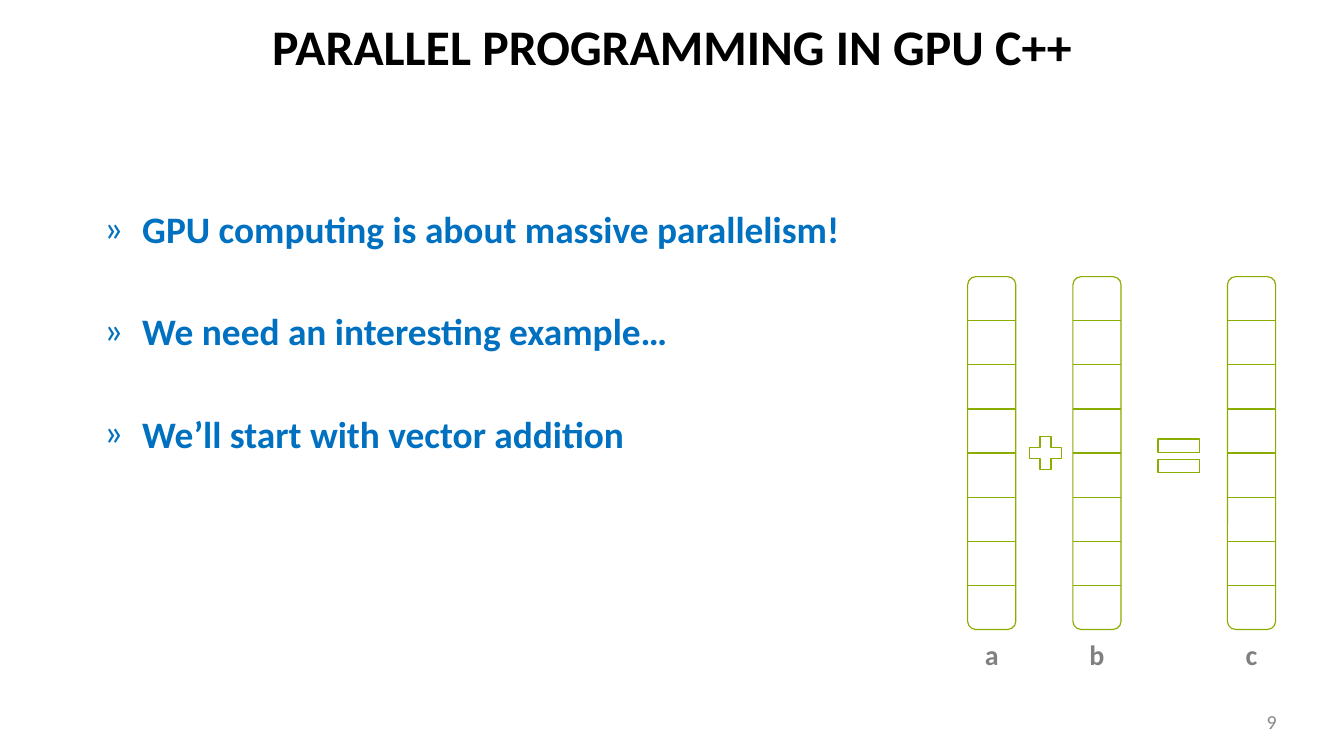
from dataclasses import dataclass

from lxml.etree import SubElement
from pptx import Presentation
from pptx.dml.color import RGBColor
from pptx.enum.shapes import MSO_CONNECTOR as Connector, MSO_SHAPE as Preset
from pptx.enum.text import MSO_ANCHOR as Anchor, PP_ALIGN as Align
from pptx.oxml.ns import qn
from pptx.shapes.autoshape import Shape
from pptx.slide import Slide
from pptx.util import Inches, Length, Pt


@dataclass(frozen=True)
class Theme:
    font: str = "Calibri"
    title_color: str = "000000"
    body_color: str = "0070C0"
    label_color: str = "808080"
    number_color: str = "898989"
    line_color: str = "89AD00"
    title_size: float = 32
    body_size: float = 24
    label_size: float = 18
    number_size: float = 12.8
    line_width: float = 0.75


@dataclass(frozen=True)
class Box:
    """Place and size in grid columns and rows."""
    column: float
    row: float
    columns: float
    rows: float

    def lengths(self) -> list[Length]:
        return [grid(value) for value in (self.column, self.row, self.columns, self.rows)]


@dataclass(frozen=True)
class Vector:
    name: str
    column: float


THEME = Theme()
COLUMNS, ROWS = 12, 6.75
CELL = Inches(1)

VECTORS = [Vector("a", 8.64), Vector("b", 9.58), Vector("c", 10.96)]
VECTOR_TOP, VECTOR_WIDTH, VECTOR_HEIGHT = 2.47, 0.43, 3.15
ELEMENTS = 8
LABEL_TOP, LABEL_HEIGHT = 5.68, 0.33

BULLETS = [
    "GPU computing is about massive parallelism!",
    "We need an interesting example…",
    "We’ll start with vector addition",
]


def grid(cells: float) -> Length:
    return Length(round(cells * CELL))


def add_bullet(paragraph, character: str, indent: float) -> None:
    properties = paragraph._p.get_or_add_pPr()
    properties.set("marL", str(grid(indent)))
    properties.set("indent", str(-grid(indent)))
    SubElement(properties, qn("a:buFont"), typeface=THEME.font)
    SubElement(properties, qn("a:buChar"), char=character)


def add_text(slide: Slide, box: Box, *lines: str, size: float, color: str,
             bold: bool = True, align: Align = Align.LEFT, anchor: Anchor = Anchor.TOP,
             inset: tuple[float, float] = (0, 0.01), gap: float = 0,
             bullet: str = "") -> None:
    frame = slide.shapes.add_textbox(*box.lengths()).text_frame
    frame.word_wrap = True
    frame.vertical_anchor = anchor
    frame.margin_left = frame.margin_right = grid(inset[0])
    frame.margin_top = frame.margin_bottom = grid(inset[1])
    for index, line in enumerate(lines):
        paragraph = frame.add_paragraph() if index else frame.paragraphs[0]
        paragraph.alignment = align
        if index:
            paragraph.space_before = Pt(gap)
        if bullet:
            add_bullet(paragraph, bullet, 0.34)
        run = paragraph.add_run()
        run.text = line
        run.font.name, run.font.size, run.font.bold = THEME.font, Pt(size), bold
        run.font.color.rgb = RGBColor.from_string(color)


def style_line(line) -> None:
    line.color.rgb = RGBColor.from_string(THEME.line_color)
    line.width = Pt(THEME.line_width)


def add_outline(slide: Slide, preset: Preset, box: Box) -> Shape:
    shape = slide.shapes.add_shape(preset, *box.lengths())
    shape.shadow.inherit = False
    shape.fill.background()
    style_line(shape.line)
    return shape


def add_divider(slide: Slide, column: float, row: float, columns: float) -> None:
    divider = slide.shapes.add_connector(
        Connector.STRAIGHT, grid(column), grid(row), grid(column + columns), grid(row))
    SubElement(divider._element.spPr, qn("a:effectLst"))
    style_line(divider.line)


def add_vector(slide: Slide, vector: Vector) -> None:
    frame = add_outline(slide, Preset.ROUNDED_RECTANGLE,
                        Box(vector.column, VECTOR_TOP, VECTOR_WIDTH, VECTOR_HEIGHT))
    frame.adjustments[0] = 0.17
    for element in range(1, ELEMENTS):
        row = VECTOR_TOP + VECTOR_HEIGHT * element / ELEMENTS
        add_divider(slide, vector.column, row, VECTOR_WIDTH)
    add_text(slide, Box(vector.column, LABEL_TOP, VECTOR_WIDTH, LABEL_HEIGHT), vector.name,
             size=THEME.label_size, color=THEME.label_color, align=Align.CENTER)


def main() -> None:
    presentation = Presentation()
    presentation.slide_width, presentation.slide_height = grid(COLUMNS), grid(ROWS)
    slide = presentation.slides.add_slide(presentation.slide_layouts[6])

    # Title, bullets and slide number
    add_text(slide, Box(0.83, 0.13, 10.35, 0.55), "PARALLEL PROGRAMMING IN GPU C++",
             size=THEME.title_size, color=THEME.title_color,
             align=Align.CENTER, anchor=Anchor.MIDDLE)
    add_text(slide, Box(0.81, 1.78, 10.35, 4.28), *BULLETS,
             size=THEME.body_size, color=THEME.body_color,
             inset=(0.12, 0.06), gap=37, bullet="»")
    add_text(slide, Box(8.6, 6.26, 2.8, 0.36), "9",
             size=THEME.number_size, color=THEME.number_color, bold=False,
             align=Align.RIGHT, anchor=Anchor.MIDDLE)

    # Vector addition: a + b = c
    for vector in VECTORS:
        add_vector(slide, vector)
    plus = add_outline(slide, Preset.CROSS, Box(9.19, 3.9, 0.29, 0.29))
    plus.adjustments[0] = 0.33
    for row in (3.92, 4.1):
        add_outline(slide, Preset.RECTANGLE, Box(10.34, row, 0.37, 0.12))

    presentation.save("out.pptx")


if __name__ == "__main__":
    main()
